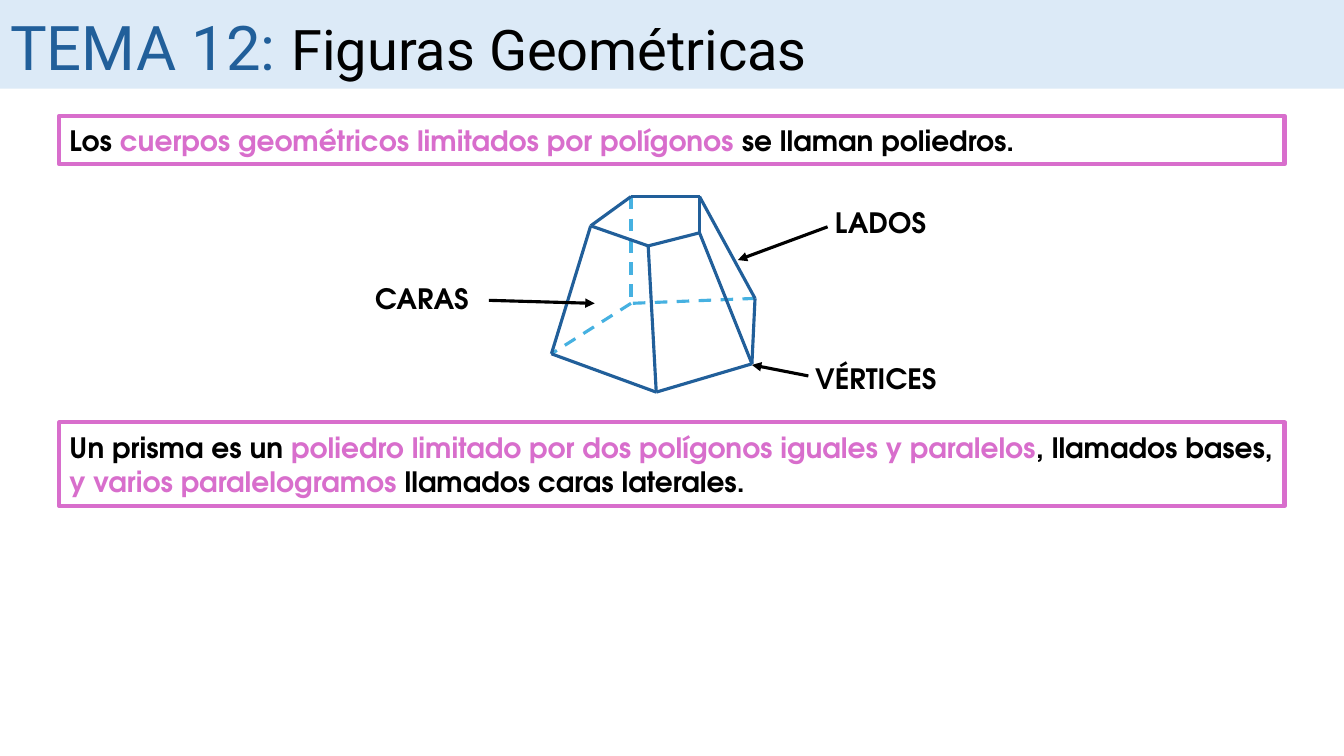
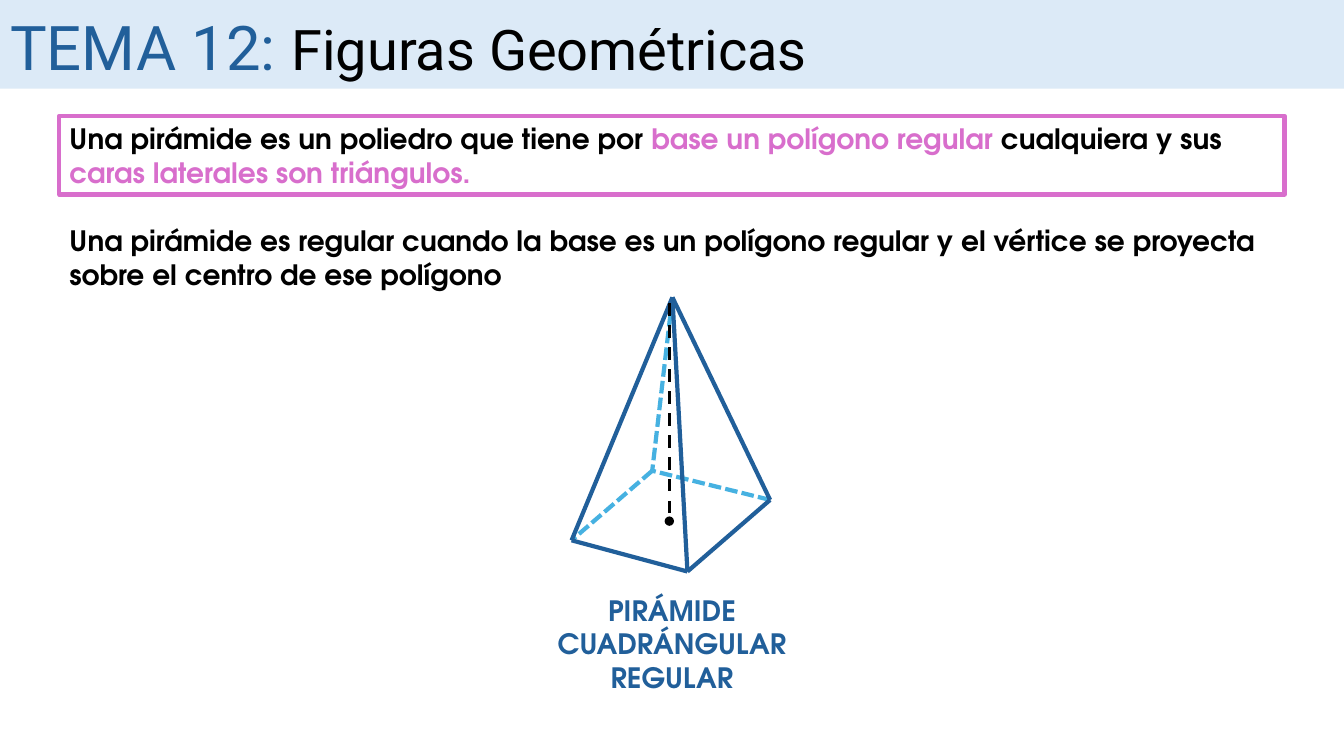
"""Build two lesson slides on polyhedra and pyramids."""
from typing import NamedTuple, Optional

from lxml.etree import SubElement
from pptx import Presentation
from pptx.dml.color import RGBColor
from pptx.enum.dml import MSO_LINE
from pptx.enum.shapes import MSO_CONNECTOR, MSO_SHAPE
from pptx.enum.text import MSO_ANCHOR, MSO_AUTO_SIZE, PP_ALIGN
from pptx.oxml.ns import qn
from pptx.presentation import Presentation as Deck
from pptx.shapes.autoshape import Shape
from pptx.slide import Slide
from pptx.util import Emu, Inches, Pt

BLACK = RGBColor(0x00, 0x00, 0x00)
BLUE = RGBColor(0x21, 0x5F, 0x9A)
SKY = RGBColor(0x46, 0xB1, 0xE1)
PALE = RGBColor(0xDC, 0xEA, 0xF7)
PINK = RGBColor(0xD8, 0x6E, 0xCC)

SLIDE_WIDTH, SLIDE_HEIGHT = Inches(13.333), Inches(7.5)
COLUMN, ROW = SLIDE_WIDTH / 100, SLIDE_HEIGHT / 100
MARGIN = 4.42
TEXT_WIDTH = 100 - 2 * MARGIN
FRAME_TOP = 15.33
BAND_HEIGHT = 11.73
TITLE_ONLY = 5

BODY_FONT = {"name": "TeX Gyre Adventor", "size": Pt(20), "bold": True}
TITLE_FONT = {"name": "Roboto", "bold": False}


class Point(NamedTuple):
    column: float
    row: float


class Area(NamedTuple):
    left: float
    top: float
    width: float
    height: float


class Span(NamedTuple):
    text: str
    color: RGBColor = BLACK
    size: Optional[int] = None


class Stroke(NamedTuple):
    color: RGBColor
    width: float
    dash: Optional[MSO_LINE] = None
    end: Optional[str] = None


class Edge(NamedTuple):
    start: Point
    finish: Point
    stroke: Stroke


class Label(NamedTuple):
    text: str
    area: Area
    arrow: Edge


TITLE = [Span("TEMA 12: ", BLUE, 44), Span("Figuras Geométricas", BLACK, 40)]

POINTER = Stroke(BLACK, 2.25, end="triangle")
LABELS = [
    Label("CARAS", Area(25.73, 36.53, 11.33, 5.87),
          Edge(Point(36.38, 39.73), Point(44.25, 40.13), POINTER)),
    Label("LADOS", Area(59.85, 26.53, 11.33, 5.87),
          Edge(Point(61.58, 30), Point(54.9, 34.4), POINTER)),
    Label("VÉRTICES", Area(58.65, 47.07, 13.05, 5.87),
          Edge(Point(60.15, 49.73), Point(55.95, 48.27), POINTER)),
]

FRUSTUM_TOP = [Point(46.95, 26), Point(43.95, 29.87), Point(48.23, 32.53),
               Point(52.05, 30.8), Point(52.05, 26)]
FRUSTUM_BASE = [Point(46.95, 40.13), Point(41.03, 46.8), Point(48.83, 51.87),
                Point(55.95, 48.13), Point(56.18, 39.47)]
PYRAMID_APEX = Point(50.03, 39.33)
PYRAMID_BASE = [Point(48.53, 62.27), Point(42.53, 71.47),
                Point(51.15, 75.6), Point(57.3, 66.13)]
PYRAMID_AXIS = Edge(Point(49.8, 40.13), Point(49.8, 68.93),
                    Stroke(BLACK, 2.25, MSO_LINE.DASH, "oval"))


def across(columns: float) -> Emu:
    """Turn columns into a length."""
    return Emu(round(columns * COLUMN))


def down(rows: float) -> Emu:
    """Turn rows into a length."""
    return Emu(round(rows * ROW))


def bounds(area: Area) -> tuple[Emu, Emu, Emu, Emu]:
    """Turn an area of the grid into left, top, width and height."""
    return across(area.left), down(area.top), across(area.width), down(area.height)


def write(box: Shape, paragraphs: list[list[Span]], font: dict,
          align: PP_ALIGN = PP_ALIGN.LEFT) -> None:
    """Fill a box with formatted paragraphs."""
    frame = box.text_frame
    frame.word_wrap = True
    frame.auto_size = MSO_AUTO_SIZE.NONE
    frame.vertical_anchor = MSO_ANCHOR.MIDDLE
    for index, spans in enumerate(paragraphs):
        para = frame.add_paragraph() if index else frame.paragraphs[0]
        para.alignment = align
        for span in spans:
            run = para.add_run()
            run.text = span.text
            for key, value in font.items():
                setattr(run.font, key, value)
            if span.size:
                run.font.size = Pt(span.size)
            run.font.color.rgb = span.color


def add_rectangle(page: Slide, area: Area) -> Shape:
    """Add a plain rectangle without shadow."""
    box = page.shapes.add_shape(MSO_SHAPE.RECTANGLE, *bounds(area))
    box.shadow.inherit = False
    return box


def add_page(deck: Deck) -> Slide:
    """Add a page with the title on its band."""
    page = deck.slides.add_slide(deck.slide_layouts[TITLE_ONLY])
    band = add_rectangle(page, Area(0, 0, 100, BAND_HEIGHT))
    band.fill.solid()
    band.fill.fore_color.rgb = PALE
    band.line.fill.background()
    title = page.shapes.title
    title.left, title.top, title.width, title.height = bounds(Area(0, 0.53, 88.9, 11.2))
    write(title, [TITLE], TITLE_FONT)
    title.element.addprevious(band.element)
    return page


def add_definition(page: Slide, top: float, height: float, spans: list[Span]) -> None:
    """Add a framed definition."""
    box = add_rectangle(page, Area(MARGIN, top, TEXT_WIDTH, height))
    box.fill.background()
    box.line.color.rgb = PINK
    box.line.width = Pt(3)
    write(box, [spans], BODY_FONT)


def add_text(page: Slide, area: Area, paragraphs: list[list[Span]],
             align: PP_ALIGN = PP_ALIGN.LEFT) -> None:
    """Add a text box."""
    write(page.shapes.add_textbox(*bounds(area)), paragraphs, BODY_FONT, align)


def add_edges(page: Slide, edges: list[Edge]) -> None:
    """Draw edges as one group of lines."""
    group = page.shapes.add_group_shape()
    for start, finish, stroke in edges:
        connector = group.shapes.add_connector(
            MSO_CONNECTOR.STRAIGHT, across(start.column), down(start.row),
            across(finish.column), down(finish.row))
        line = connector.line
        line.color.rgb = stroke.color
        line.width = Pt(stroke.width)
        if stroke.dash:
            line.dash_style = stroke.dash
        properties = connector.element.spPr
        if stroke.end:
            SubElement(properties.find(qn("a:ln")), qn("a:tailEnd"), type=stroke.end)
        SubElement(properties, qn("a:effectLst"))


def solid_edges(top: list[Point], base: list[Point], width: float,
                dash: MSO_LINE) -> list[Edge]:
    """List the edges of a solid, hidden ones (at the first base corner) first."""
    outline = [(ring[index - 1], ring[index])
               for ring in (top, base) if len(ring) > 1 for index in range(len(ring))]
    corners = top if len(top) > 1 else top * len(base)
    pairs = list(zip(corners, base)) + outline
    hidden = [pair for pair in pairs if base[0] in pair]
    visible = [pair for pair in pairs if base[0] not in pair]
    return ([Edge(*pair, Stroke(SKY, width, dash)) for pair in hidden]
            + [Edge(*pair, Stroke(BLUE, width)) for pair in visible])


def build_polyhedra(deck: Deck) -> None:
    """Build the page on polyhedra and prisms."""
    page = add_page(deck)
    add_definition(page, FRAME_TOP, 6.4, [
        Span("Los "),
        Span("cuerpos geométricos limitados por polígonos ", PINK),
        Span("se llaman poliedros."),
    ])
    add_edges(page, solid_edges(FRUSTUM_TOP, FRUSTUM_BASE, 2.25, MSO_LINE.DASH))
    add_edges(page, [label.arrow for label in LABELS])
    for label in LABELS:
        add_text(page, label.area, [[Span(label.text)]], PP_ALIGN.CENTER)
    add_definition(page, 55.87, 11.07, [
        Span("Un prisma es un "),
        Span("poliedro limitado por dos polígonos iguales y paralelos", PINK),
        Span(", llamados bases, "),
        Span("y varios paralelogramos ", PINK),
        Span("llamados caras laterales."),
    ])


def build_pyramid(deck: Deck) -> None:
    """Build the page on pyramids."""
    page = add_page(deck)
    add_definition(page, FRAME_TOP, 10.4, [
        Span("Una pirámide es un poliedro que tiene por "),
        Span("base un polígono regular ", PINK),
        Span("cualquiera y sus "),
        Span("caras laterales son triángulos.", PINK),
    ])
    add_text(page, Area(MARGIN, 28.93, TEXT_WIDTH, 10.27), [
        [Span("Una pirámide es regular cuando la base es un polígono regular "
              "y el vértice se proyecta")],
        [Span("sobre el centro de ese polígono")],
    ])
    edges = solid_edges([PYRAMID_APEX], PYRAMID_BASE, 3, MSO_LINE.SQUARE_DOT)
    add_edges(page, edges + [PYRAMID_AXIS])
    add_text(page, Area(39, 77.73, 22, 14.8),
             [[Span("PIRÁMIDE CUADRÁNGULAR REGULAR", BLUE)]], PP_ALIGN.CENTER)


def main() -> None:
    """Build and save the deck."""
    deck = Presentation()
    deck.slide_width, deck.slide_height = SLIDE_WIDTH, SLIDE_HEIGHT
    build_polyhedra(deck)
    build_pyramid(deck)
    deck.save("out.pptx")


if __name__ == "__main__":
    main()
